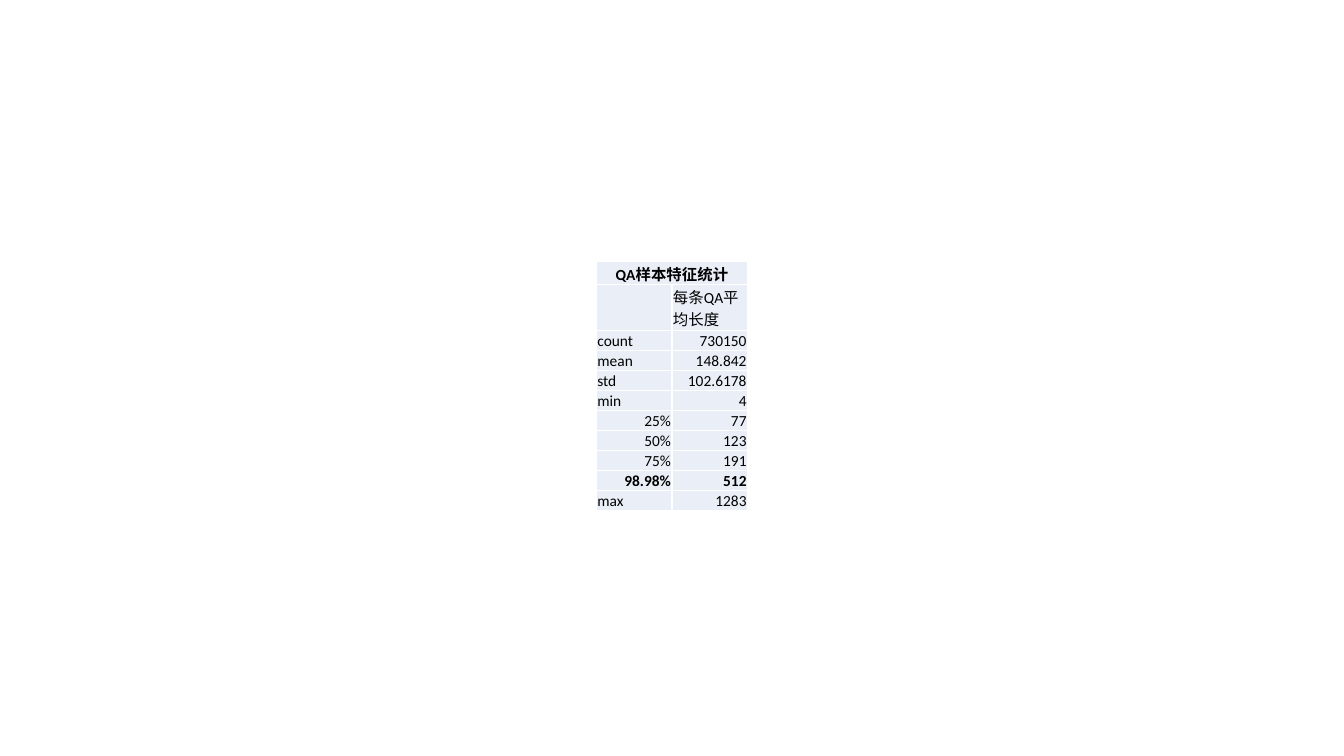
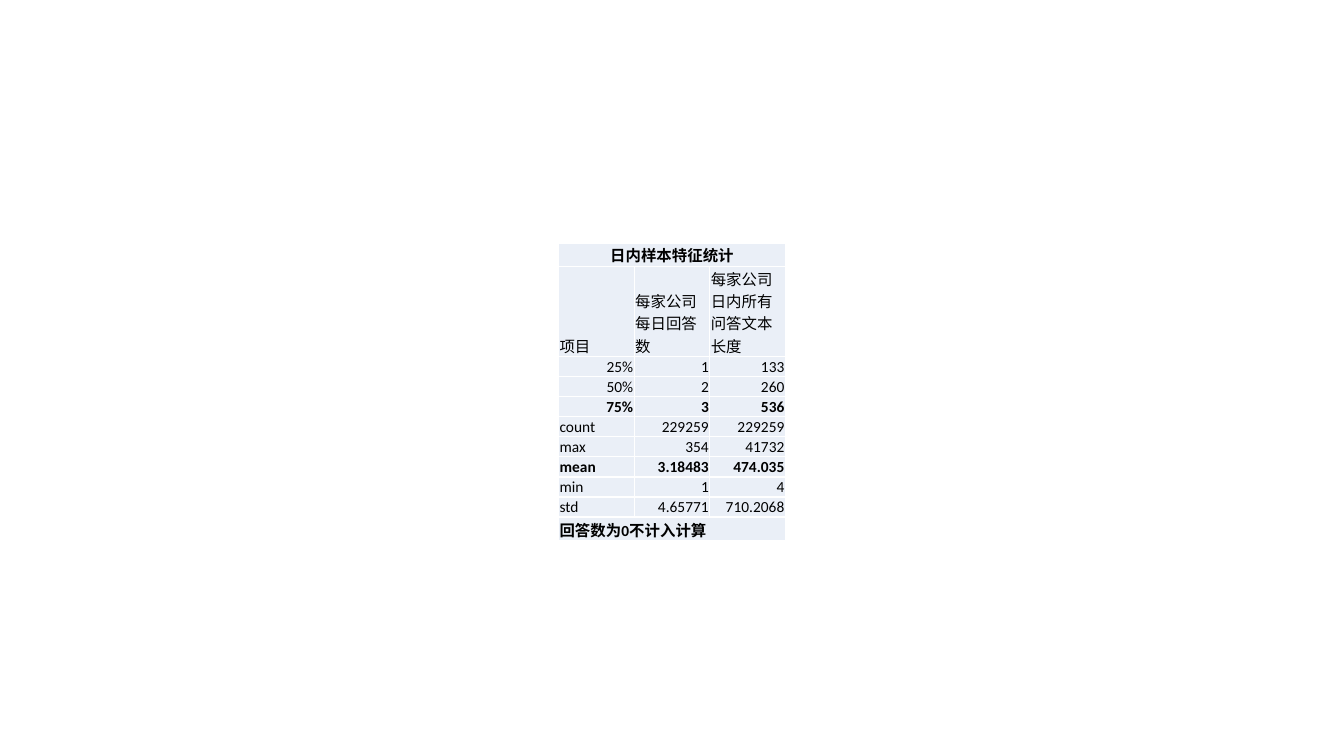
import pptx
import pptx.util
import pptx.dml.color
import pptx.enum.text
import pptx.oxml
import pptx.oxml.ns

Inches, Pt = pptx.util.Inches, pptx.util.Pt
RGB = pptx.dml.color.RGBColor
ALIGN = pptx.enum.text.PP_ALIGN

BLACK = RGB(0x00, 0x00, 0x00)
WHITE = RGB(0xFF, 0xFF, 0xFF)
PALE = RGB(0xEA, 0xEF, 0xF7)

# A row with one item spans the whole table.
QA = [
    ("QA样本特征统计",),
    ("", "每条QA平均长度"),
    ("count", "730150"),
    ("mean", "148.842"),
    ("std", "102.6178"),
    ("min", "4"),
    ("25%", "77"),
    ("50%", "123"),
    ("75%", "191"),
    ("98.98%", "512"),
    ("max", "1283"),
]
DAILY = [
    ("日内样本特征统计",),
    ("项目", "每家公司每日回答数", "每家公司日内所有问答文本长度"),
    ("25%", "1", "133"),
    ("50%", "2", "260"),
    ("75%", "3", "536"),
    ("count", "229259", "229259"),
    ("max", "354", "41732"),
    ("mean", "3.18483", "474.035"),
    ("min", "1", "4"),
    ("std", "4.65771", "710.2068"),
    ("回答数为0不计入计算",),
]
# rows, labels of bold rows, top and height in inches
TABLES = [
    (QA, {"98.98%"}, 2.59, 2.31),
    (DAILY, {"75%", "mean"}, 2.41, 2.68),
]

WIDE, HIGH = 13.33, 7.5
COL, ROW = 0.75, 0.19
FONT = {"name": "Calibri", "size": Pt(11)}
CELL = {
    "margin_left": Inches(0.01),
    "margin_right": Inches(0.01),
    "margin_top": Inches(0.01),
    "margin_bottom": 0,
    "vertical_anchor": pptx.enum.text.MSO_ANCHOR.BOTTOM,
}
PLAIN = {"first_row": False, "horz_banding": False}


def put(item, values):
    """Set attributes of an item from a dict."""
    for key, value in values.items():
        setattr(item, key, value)


def edge(cell):
    """Draw thin white borders on all sides of a cell."""
    props = cell._tc.get_or_add_tcPr()
    for spot, side in enumerate(("lnL", "lnR", "lnT", "lnB")):
        props.insert(spot, pptx.oxml.parse_xml(
            f'<a:{side} {pptx.oxml.ns.nsdecls("a")} w="{Pt(1)}"><a:solidFill>'
            f'<a:srgbClr val="{WHITE}"/></a:solidFill></a:{side}>'))


def write(cell, text, align, bold):
    """Put formatted text in a cell."""
    para = cell.text_frame.paragraphs[0]
    para.alignment = align
    font = para.font
    if text:
        run = para.add_run()
        run.text = text
        font = run.font
    put(font, {**FONT, "bold": bold})
    font.color.rgb = BLACK


def build(slide, rows, strong, top, height):
    """Add a centred table of statistics to a slide."""
    count = max(map(len, rows))
    width = COL * count
    frame = slide.shapes.add_table(
        len(rows), count, Inches((WIDE - width) / 2), Inches(top),
        Inches(width), Inches(height))
    table = frame.table
    put(table, PLAIN)
    for r, row in enumerate(rows):
        table.rows[r].height = Inches(ROW)
        for c in range(count):
            cell = table.cell(r, c)
            put(cell, CELL)
            cell.fill.solid()
            cell.fill.fore_color.rgb = PALE
            edge(cell)
        span = len(row) == 1
        if span:
            table.cell(r, 0).merge(table.cell(r, count - 1))
        for c, text in enumerate(row):
            align = ALIGN.RIGHT if text[:1].isdigit() else ALIGN.LEFT
            if r == 0:
                align = ALIGN.CENTER
            write(table.cell(r, c), text, align, span or row[0] in strong)
    frame.height = Inches(height)


deck = pptx.Presentation()
put(deck, {"slide_width": Inches(WIDE), "slide_height": Inches(HIGH)})
for data in TABLES:
    build(deck.slides.add_slide(deck.slide_layouts[6]), *data)
deck.save("out.pptx")
